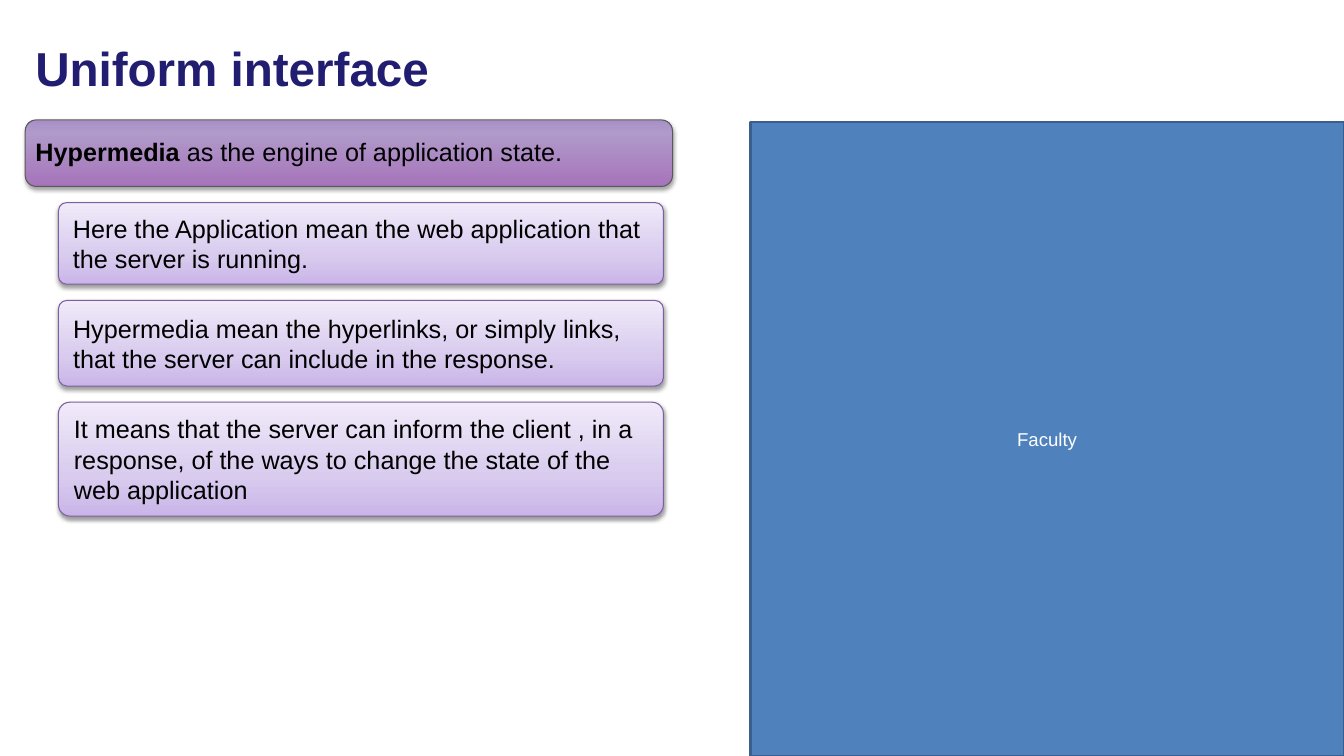
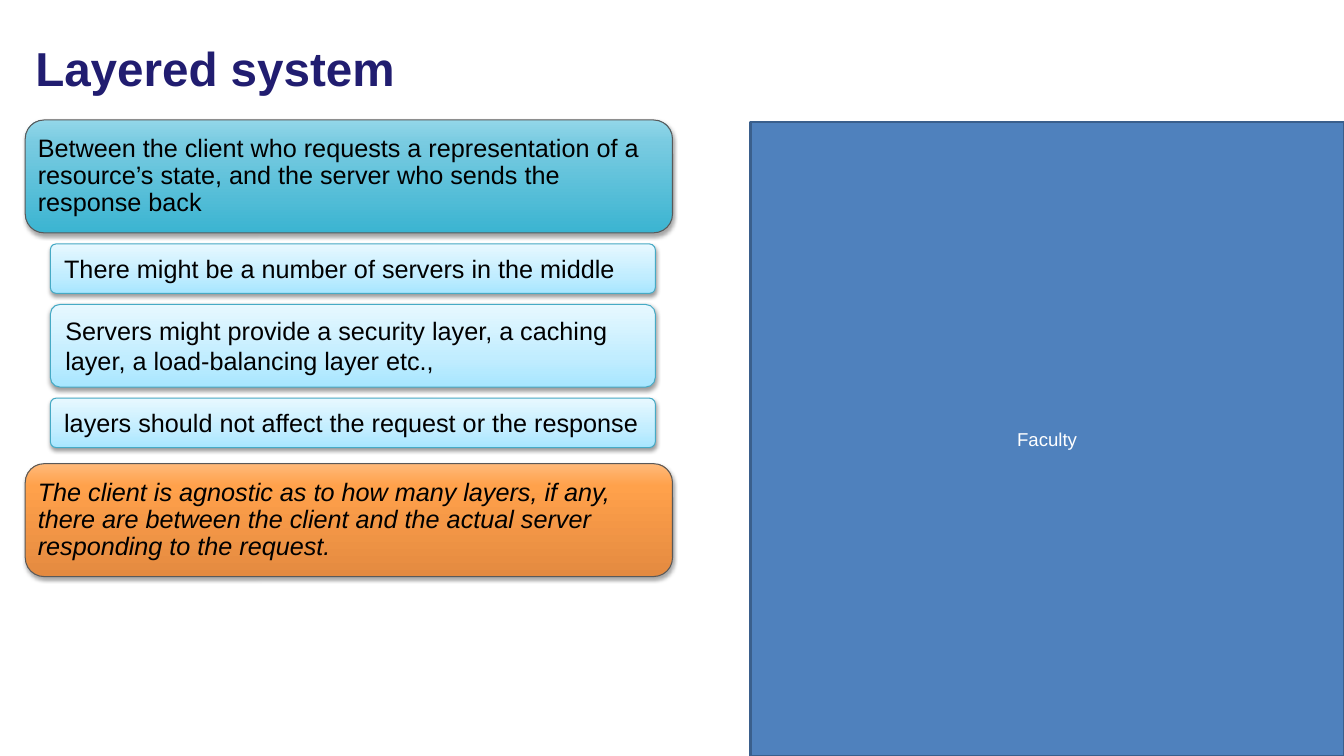
"""Build two slides on REST constraints: uniform interface and layered system."""
from copy import deepcopy

from lxml.etree import SubElement
from pptx import Presentation
from pptx.dml.color import RGBColor
from pptx.enum.shapes import MSO_SHAPE
from pptx.enum.text import MSO_ANCHOR, MSO_AUTO_SIZE, PP_ALIGN
from pptx.oxml.ns import qn
from pptx.util import Inches, Pt

BANNER = {"left": 0.25, "width": 6.42, "corner": 0.167, "insets": (0.07, 0.07),
          "spacing": 0.9, "line": "595959", "stops": (0, 0.8, 1), "shadow": (35, 1.8)}
CARD = {"left": 0.58, "width": 6, "corner": 0.1, "insets": (0.12, 0.08),
        "spacing": 1, "line": "7D60A0", "stops": (0, 0.35, 1), "shadow": (38, 1.6)}

THEME = {
    "title": {"name": "Arial", "size": Pt(34), "bold": True, "color": "211D70"},
    "panel": {"name": "Arial", "size": Pt(13.3), "color": "FFFFFF"},
    "body": {"name": "Arial", "size": Pt(18), "color": "000000"},
    "panel_fill": "4F81BD",
    "panel_line": "3A5F8C",
    "purple_banner": BANNER | {"colors": ("A674BA", "B09ACA", "A890C6")},
    "teal_banner": BANNER | {"colors": ("3BB4D1", "79CBE1", "93D7E9")},
    "orange_banner": BANNER | {"colors": ("E48A40", "FFA14B", "FFB979")},
    "purple_card": CARD | {"colors": ("C9B5E8", "D8CBEE", "F0EAF9")},
    "teal_card": CARD | {"left": 0.5, "corner": 0.117, "line": "46AAC5",
                         "colors": ("A7E6FF", "C1EDFF", "E7F8FF")},
}

TOP = 1.19
SLIDES = [
    ("Uniform interface", [
        ("purple_banner", 0.66, 0.16, [
            ("Hypermedia", {"bold": True}),
            (" as the engine of application state.", {})]),
        ("purple_card", 0.81, 0.16, [
            ("Here the Application mean the web application that the server is running.", {})]),
        ("purple_card", 0.85, 0.16, [
            ("Hypermedia mean the hyperlinks, or simply links, that the server can "
             "include in the response.", {})]),
        ("purple_card", 1.13, 0, [
            ("It means that the server can inform the client , in a response, of the ways "
             "to change the state of the web application", {})]),
    ]),
    ("Layered system", [
        ("teal_banner", 1.12, 0.11, [
            ("Between the client who requests a representation of a resource’s state, "
             "and the server who sends the response back", {})]),
        ("teal_card", 0.49, 0.11, [
            ("There might be a number of servers in the middle", {})]),
        ("teal_card", 0.82, 0.11, [
            ("Servers might provide a security layer, a caching layer, a load-balancing "
             "layer etc.,", {})]),
        ("teal_card", 0.49, 0.16, [
            ("layers should not affect the request or the response", {})]),
        ("orange_banner", 1.12, 0, [
            ("The client is agnostic as to how many layers, if any, there are between the "
             "client and the actual server responding to the request.", {"italic": True})]),
    ]),
]


def write(paragraph, runs, style, **layout_values):
    for name, value in layout_values.items():
        setattr(paragraph, name, value)
    for text, emphasis in runs:
        run = paragraph.add_run()
        run.text = text
        for name, value in (style | emphasis).items():
            if name == "color":
                run.font.color.rgb = RGBColor.from_string(value)
            else:
                setattr(run.font, name, value)


def add_statement(slide, look, top, height, runs):
    statement = slide.shapes.add_shape(
        MSO_SHAPE.ROUNDED_RECTANGLE, Inches(look["left"]), Inches(top),
        Inches(look["width"]), Inches(height))
    statement.adjustments[0] = look["corner"]

    statement.fill.gradient()
    statement.fill.gradient_angle = 90
    stop_list = statement.element.spPr.find(".//" + qn("a:gsLst"))
    stop_list.append(deepcopy(stop_list[-1]))
    for stop, position, color in zip(statement.fill.gradient_stops, look["stops"], look["colors"]):
        stop.position = position
        stop.color.rgb = RGBColor.from_string(color)
    statement.line.color.rgb = RGBColor.from_string(look["line"])
    statement.line.width = Pt(0.75)

    opacity, distance = look["shadow"]
    statement.shadow.inherit = False
    effects = statement.element.spPr.find(qn("a:effectLst"))
    shadow = SubElement(effects, qn("a:outerShdw"), blurRad=str(Pt(3.1)),
                        dist=str(Pt(distance)), dir="5400000", rotWithShape="0")
    shade = SubElement(shadow, qn("a:srgbClr"), val="000000")
    SubElement(shade, qn("a:alpha"), val=str(opacity * 1000))

    side, edge = (Inches(inset) for inset in look["insets"])
    frame_format = {"word_wrap": True, "vertical_anchor": MSO_ANCHOR.MIDDLE,
                    "margin_left": side, "margin_right": side,
                    "margin_top": edge, "margin_bottom": edge}
    for name, value in frame_format.items():
        setattr(statement.text_frame, name, value)
    write(statement.text_frame.paragraphs[0], runs, THEME["body"],
          alignment=PP_ALIGN.LEFT, line_spacing=look["spacing"])


deck = Presentation()
deck.slide_width, deck.slide_height = Inches(13.33), Inches(7.5)
layout = deck.slide_layouts.get_by_name("Title Only")

title_place = {"left": 0.25, "top": 0.25, "width": 11.81, "height": 0.91}
for name, value in title_place.items():
    setattr(layout.placeholders[0], name, Inches(value))

for number, (heading, statements) in enumerate(SLIDES):
    slide = deck.slides.add_slide(layout)

    if number == 0:
        panel = slide.shapes.add_shape(
            MSO_SHAPE.RECTANGLE, Inches(7.44), Inches(1.21), Inches(5.89), Inches(6.29))
        panel.shadow.inherit = False
        panel.fill.solid()
        panel.fill.fore_color.rgb = RGBColor.from_string(THEME["panel_fill"])
        panel.line.color.rgb = RGBColor.from_string(THEME["panel_line"])
        panel.line.width = Pt(2)
        write(panel.text_frame.paragraphs[0], [("Faculty", {})], THEME["panel"],
              alignment=PP_ALIGN.CENTER)
        layout.shapes.element.append(panel.element)

    title_frame = slide.shapes.title.text_frame
    title_frame.auto_size = MSO_AUTO_SIZE.NONE
    title_frame.vertical_anchor = MSO_ANCHOR.MIDDLE
    write(title_frame.paragraphs[0], [(heading, {})], THEME["title"],
          alignment=PP_ALIGN.LEFT, line_spacing=0.9)

    top = TOP
    for look, height, gap, runs in statements:
        add_statement(slide, THEME[look], top, height, runs)
        top += height + gap

deck.save("out.pptx")
